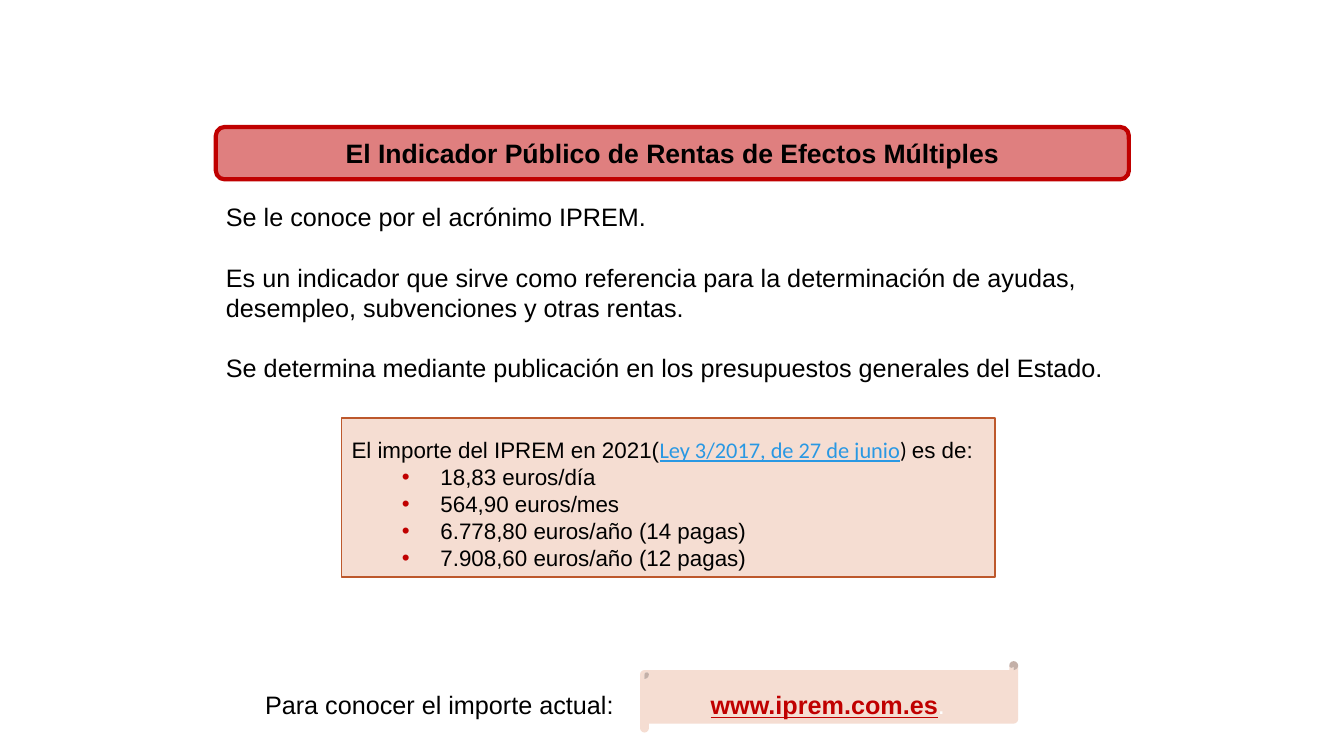
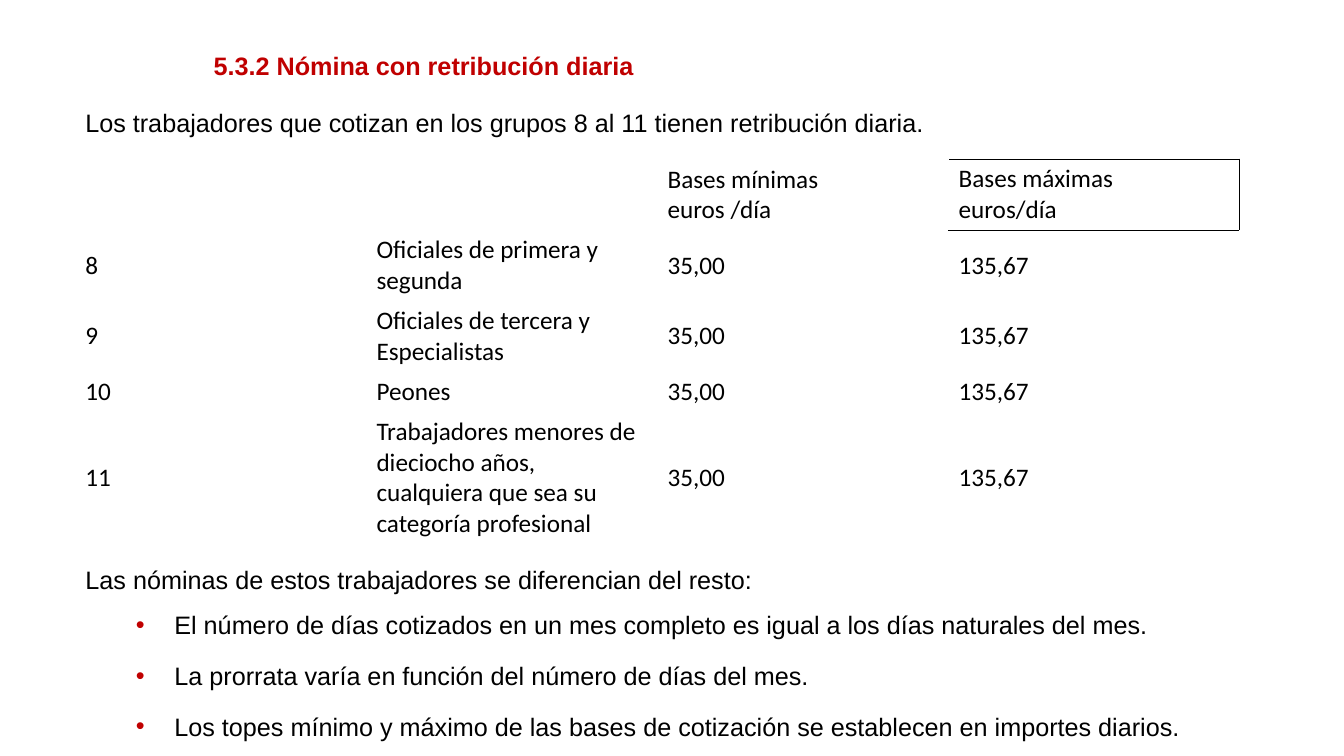
from lxml.etree import SubElement
from pptx import Presentation
from pptx.dml.color import RGBColor
from pptx.enum.shapes import MSO_SHAPE
from pptx.enum.text import MSO_ANCHOR, MSO_AUTO_SIZE, PP_ALIGN
from pptx.oxml.ns import qn
from pptx.util import Cm, Pt

COLORS = {"red": "C00000", "peach": "F5DDD2", "rust": "BD582C",
          "link": "2998E3", "text": "000000", "white": "FFFFFF"}

IPREM_TITLE = "El Indicador Público de Rentas de Efectos Múltiples"
IPREM_FACTS = [
    "Se le conoce por el acrónimo IPREM.",
    "Es un indicador que sirve como referencia para la determinación de ayudas, "
    "desempleo, subvenciones y otras rentas.",
    "Se determina mediante publicación en los presupuestos generales del Estado.",
]
AMOUNTS_INTRO = [
    ("El importe del IPREM en 2021(", {}),
    ("Ley 3/2017, de 27 de junio", {"font": "Calibri", "color": "link", "underline": True}),
    (") ", {"font": "Calibri"}),
    ("es de:", {}),
]
AMOUNTS = ["18,83 euros/día", "564,90 euros/mes",
           "6.778,80 euros/año (14 pagas)", "7.908,60 euros/año (12 pagas)"]
WEB_LEAD = "Para conocer el importe actual:"
WEB_ADDRESS = [("www.iprem.com.es", {"color": "red", "bold": True, "underline": True}),
               (". ", {"color": "white"})]

DAILY_TITLE = "5.3.2 Nómina con retribución diaria"
DAILY_INTRO = "Los trabajadores que cotizan en los grupos 8 al 11 tienen retribución diaria."
BASES = [
    ("", "", "Bases mínimas\neuros /día", "Bases máximas\neuros/día"),
    ("8", "Oficiales de primera y segunda", "35,00", "135,67"),
    ("9", "Oficiales de tercera y Especialistas", "35,00", "135,67"),
    ("10", "Peones", "35,00", "135,67"),
    ("11", "Trabajadores menores de dieciocho años, cualquiera que sea su "
           "categoría profesional", "35,00", "135,67"),
]
BASES_ROW_HEIGHTS = [1.8, 1.77, 1.77, 1.03, 3.28]
LAST_COLUMN = len(BASES[0]) - 1
# The line under the last heading is also the top line of the cell below it.
CELL_BORDERS = {(0, LAST_COLUMN): ("a:lnR", "a:lnT", "a:lnB"), (1, LAST_COLUMN): ("a:lnT",)}
DIFFERENCES_INTRO = "Las nóminas de estos trabajadores se diferencian del resto:"
DIFFERENCES = [
    "El número de días cotizados en un mes completo es igual a los días naturales del mes.",
    "La prorrata varía en función del número de días del mes.",
    "Los topes mínimo y máximo de las bases de cotización se establecen en importes diarios.",
]


def rgb(name):
    return RGBColor.from_string(COLORS[name])


def place(shape, left, top, width, height):
    shape.left, shape.top = Cm(left), Cm(top)
    shape.width, shape.height = Cm(width), Cm(height)


def add_run(paragraph, text, size=18, font="Arial", color="text", bold=False, underline=False):
    run = paragraph.add_run()
    run.text = text
    run.font.size, run.font.name = Pt(size), font
    run.font.bold, run.font.underline = bold, underline
    run.font.color.rgb = rgb(color)


def add_paragraph(frame, runs, size=18, align=PP_ALIGN.LEFT, spacing=1.0,
                  before=0, after=0, bullet=False):
    """Fill the frame's empty first paragraph, or append one; runs is a text or (text, style) pairs."""
    first = frame.paragraphs[0]
    paragraph = frame.add_paragraph() if first.runs else first
    paragraph.alignment, paragraph.line_spacing = align, spacing
    paragraph.space_before, paragraph.space_after = Pt(before), Pt(after)
    properties = paragraph._p.get_or_add_pPr()
    properties.set("marL", str(Cm(2.24) if bullet else 0))
    properties.set("indent", str(Cm(-0.97) if bullet else 0))
    if bullet:
        paragraph.level = 1
        SubElement(SubElement(properties, qn("a:buClr")), qn("a:srgbClr"), val=COLORS["red"])
        SubElement(properties, qn("a:buFont"), typeface="Arial")
        SubElement(properties, qn("a:buChar"), char="•")
    else:
        SubElement(properties, qn("a:buNone"))
    for text, style in [(runs, {})] if isinstance(runs, str) else runs:
        add_run(paragraph, text, **{"size": size, **style})


def prepare_frame(shape, anchor=MSO_ANCHOR.TOP):
    frame = shape.text_frame
    frame.word_wrap, frame.auto_size = True, MSO_AUTO_SIZE.NONE
    frame.vertical_anchor = anchor
    return frame


def add_text_box(slide, box, text, **layout):
    text_box = slide.shapes.add_textbox(*map(Cm, box))
    add_paragraph(prepare_frame(text_box), text, **layout)


def add_panel(slide, kind, box, fill="peach", line=None, line_width=1.25):
    panel = slide.shapes.add_shape(kind, *map(Cm, box))
    panel.shadow.inherit = False
    panel.fill.solid()
    panel.fill.fore_color.rgb = rgb(fill)
    if line:
        panel.line.color.rgb, panel.line.width = rgb(line), Pt(line_width)
    else:
        panel.line.fill.background()
    return panel


def add_slide(deck, title, title_box, body_box, align, **title_style):
    """Add a slide and return it with the frame of its body."""
    slide = deck.slides.add_slide(deck.slide_layouts[1])
    heading, body = slide.placeholders
    place(heading, *title_box)
    place(body, *body_box)
    add_paragraph(prepare_frame(heading, MSO_ANCHOR.MIDDLE),
                  [(title, {"bold": True, **title_style})], align=align)
    return slide, prepare_frame(body)


def add_title_band(slide, box):
    """Put a half-transparent rounded band behind the title."""
    band = add_panel(slide, MSO_SHAPE.ROUNDED_RECTANGLE, box, "red", "red", 3)
    fill_color = band._element.spPr.find(qn("a:solidFill")).find(qn("a:srgbClr"))
    SubElement(fill_color, qn("a:alpha"), val="50000")
    slide.shapes.title._element.addprevious(band._element)


def add_bases_table(slide, left, top, width):
    table = slide.shapes.add_table(len(BASES), len(BASES[0]), Cm(left), Cm(top), Cm(width),
                                   Cm(sum(BASES_ROW_HEIGHTS))).table
    table.first_row = table.horz_banding = False
    for row, height in zip(table.rows, BASES_ROW_HEIGHTS):
        row.height = Cm(height)
    for r, values in enumerate(BASES):
        for c, value in enumerate(values):
            cell = table.cell(r, c)
            is_last_heading = (r, c) == (0, LAST_COLUMN)
            cell.vertical_anchor = MSO_ANCHOR.TOP if is_last_heading else MSO_ANCHOR.MIDDLE
            cell.margin_top = cell.margin_bottom = Cm(0.11)
            paragraph = cell.text_frame.paragraphs[0]
            for n, text in enumerate(value.split("\n") if value else []):
                if n:
                    paragraph.add_line_break()
                add_run(paragraph, text, font="Calibri")
            for side in CELL_BORDERS.get((r, c), ()):
                border = SubElement(cell._tc.get_or_add_tcPr(), qn(side), w=str(Pt(1)))
                SubElement(SubElement(border, qn("a:solidFill")), qn("a:srgbClr"),
                           val=COLORS["text"])
            cell.fill.background()


def build_iprem_slide(deck):
    title_box = (5.44, 3.2, 23.01, 1.32)
    slide, body = add_slide(deck, IPREM_TITLE, title_box, (5.44, 4.95, 23.01, 5.2),
                            PP_ALIGN.CENTER, size=19)
    add_title_band(slide, title_box)
    for n, fact in enumerate(IPREM_FACTS):
        add_paragraph(body, fact, before=21.5 if n else 0)

    scroll = add_panel(slide, MSO_SHAPE.HORIZONTAL_SCROLL, (16.13, 16.66, 9.53, 1.8))
    add_paragraph(prepare_frame(scroll, MSO_ANCHOR.MIDDLE), WEB_ADDRESS,
                  align=PP_ALIGN.CENTER, spacing=1.5, before=6, after=6)
    add_text_box(slide, (6.43, 17.25, 9.53, 1.05), WEB_LEAD)

    amounts = prepare_frame(add_panel(slide, MSO_SHAPE.RECTANGLE, (8.61, 10.54, 16.46, 4.01),
                                      line="rust"))
    add_paragraph(amounts, AMOUNTS_INTRO, size=16, align=PP_ALIGN.JUSTIFY, spacing=1.5)
    for amount in AMOUNTS:
        add_paragraph(amounts, amount, size=16, align=PP_ALIGN.JUSTIFY, bullet=True)


def build_daily_pay_slide(deck):
    slide, body = add_slide(deck, DAILY_TITLE, (5.13, 1.14, 23.8, 1.02),
                            (1.9, 13.79, 30.28, 5.26), PP_ALIGN.LEFT, color="red")
    add_text_box(slide, (1.9, 2.21, 30.28, 1.4), DAILY_INTRO,
                 align=PP_ALIGN.JUSTIFY, spacing=1.5, before=4)
    add_bases_table(slide, 1.9, 4.01, 29.34)
    airy = {"align": PP_ALIGN.JUSTIFY, "spacing": 1.4}
    add_paragraph(body, DIFFERENCES_INTRO, before=4, **airy)
    for difference in DIFFERENCES:
        add_paragraph(body, difference, before=2, after=4, bullet=True, **airy)


def main():
    deck = Presentation()
    deck.slide_width, deck.slide_height = Cm(33.87), Cm(19.05)
    build_iprem_slide(deck)
    build_daily_pay_slide(deck)
    deck.save("out.pptx")


if __name__ == "__main__":
    main()
